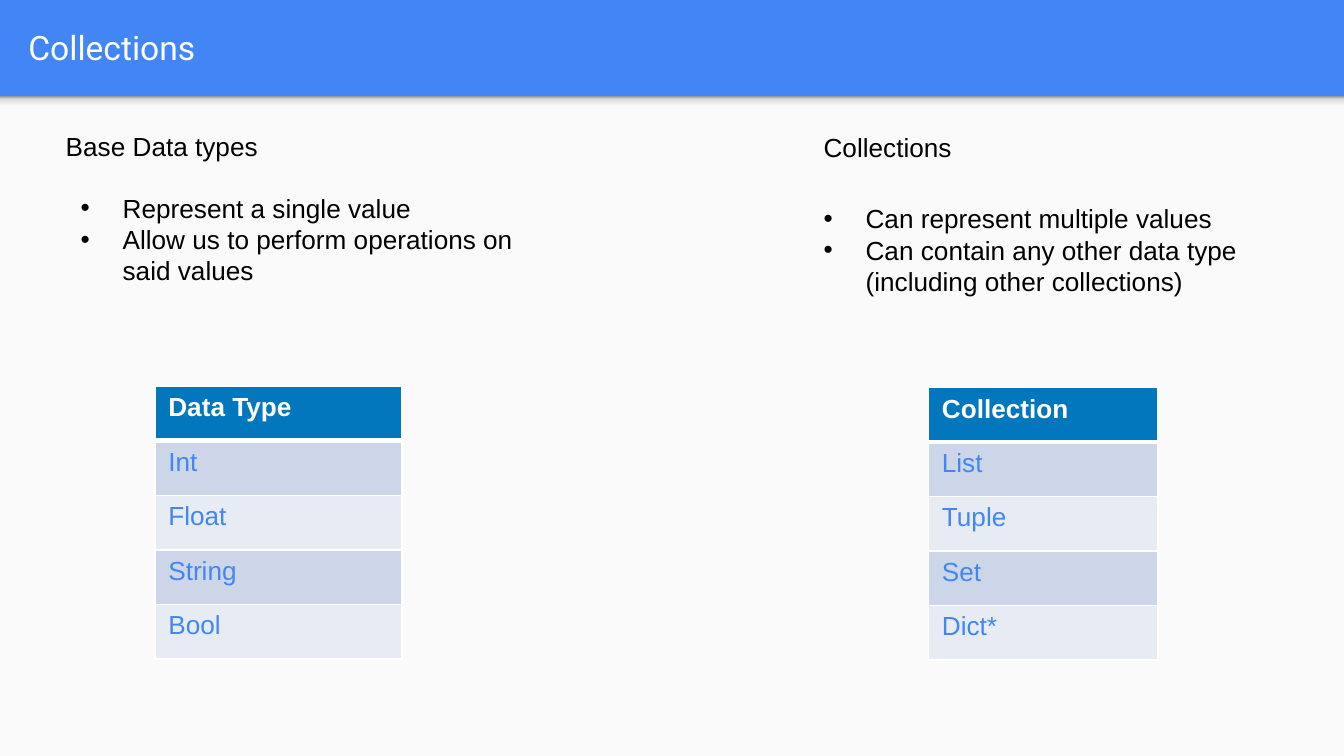
from lxml import etree
from pptx import Presentation
from pptx.dml.color import RGBColor
from pptx.enum.shapes import MSO_SHAPE
from pptx.enum.text import MSO_ANCHOR, MSO_AUTO_SIZE, PP_ALIGN
from pptx.oxml.ns import qn
from pptx.util import Pt

RECTANGLE = MSO_SHAPE.RECTANGLE
MIDDLE, TOP = MSO_ANCHOR.MIDDLE, MSO_ANCHOR.TOP
LEFT = PP_ALIGN.LEFT
GROW, FIXED = MSO_AUTO_SIZE.SHAPE_TO_FIT_TEXT, MSO_AUTO_SIZE.NONE

BLUE = RGBColor(0x42, 0x85, 0xF4)
HEADER_BLUE = RGBColor(0x02, 0x77, 0xBD)
PANEL = RGBColor(0xFA, 0xFA, 0xFA)
WHITE = RGBColor(0xFF, 0xFF, 0xFF)
BLACK = RGBColor(0, 0, 0)
ROW_FILLS = (RGBColor(0xCC, 0xD6, 0xE8), RGBColor(0xE7, 0xEC, 0xF4))
SHADE_STOPS = (
    (0, RGBColor(0xF9, 0xF9, 0xF9)),
    (36, RGBColor(0xF9, 0xF9, 0xF9)),
    (80, RGBColor(0xDE, 0xDE, 0xDE)),
    (100, RGBColor(0x99, 0x99, 0x99)),
)

PAGE_WIDTH, PAGE_HEIGHT = 720, 405
BAND_HEIGHT = 51.6
ROW_HEIGHT = 29.2
INDENT = 22.5
COMPARISON_LAYOUT = 4


def add_color(parent, color):
    """Append an sRGB colour element to the given parent."""
    etree.SubElement(parent, qn("a:srgbClr"), val=str(color))


def place(shape, box):
    """Move a shape to a box of left, top, width and height in points."""
    shape.left, shape.top, shape.width, shape.height = map(Pt, box)


def style_font(font, name, size, color, bold=False):
    """Set the typeface, size, colour and weight of a font."""
    font.name, font.size, font.bold = name, Pt(size), bold
    font.color.rgb = color


def add_backdrop(page, box):
    """Draw the light content panel and its top shade behind the text."""
    left, top, width, height = box
    page.background.fill.solid()
    page.background.fill.fore_color.rgb = BLUE
    for part_height in (height, 8.6):
        part = page.shapes.add_shape(
            RECTANGLE, Pt(left), Pt(top), Pt(width), Pt(part_height))
        part.shadow.inherit = False
        part.line.fill.background()
        if part_height == height:
            part.fill.solid()
            part.fill.fore_color.rgb = PANEL
        else:
            part.fill.gradient()
            part.fill.gradient_angle = 90
            stops = part.element.spPr.find(".//" + qn("a:gsLst"))
            stops.clear()
            for percent, color in SHADE_STOPS:
                add_color(etree.SubElement(
                    stops, qn("a:gs"), pos=str(percent * 1000)), color)
        page.shapes.title.element.addprevious(part.element)


def fill_title(title, box, text):
    """Place and format the title in the blue band."""
    place(title, box)
    frame = title.text_frame
    frame.text = text
    frame.vertical_anchor = MIDDLE
    frame.auto_size = FIXED
    frame.margin_left = frame.margin_right = Pt(7.2)
    frame.margin_top = frame.margin_bottom = Pt(7.2)
    frame.paragraphs[0].alignment = LEFT
    style_font(frame.paragraphs[0].font, "Roboto", 18, WHITE)


def fill_body(body, box, lines, bulleted):
    """Place a body placeholder and format its lines, with or without bullets."""
    place(body, box)
    frame = body.text_frame
    frame.text = "\n".join(lines)
    frame.word_wrap = True
    frame.vertical_anchor = TOP
    frame.auto_size = GROW
    indent = Pt(INDENT) if bulleted else 0
    for para in frame.paragraphs:
        para.space_before = Pt(0)
        props = para._p.get_or_add_pPr()
        props.set("marL", str(indent))
        props.set("indent", str(-indent))
        if bulleted:
            add_color(etree.SubElement(props, qn("a:buClr")), BLACK)
            etree.SubElement(props, qn("a:buFont"), typeface="Arial")
            etree.SubElement(props, qn("a:buChar"), char="•")
        else:
            etree.SubElement(props, qn("a:buNone"))
        style_font(para.font, "Arial", 14, BLACK)


def add_borders(cell, bottom_width):
    """Give a cell thin white borders and a bottom one of the given width."""
    props = cell._tc.get_or_add_tcPr()
    for side, width in (("L", 1), ("R", 1), ("T", 1), ("B", bottom_width)):
        line = etree.SubElement(props, qn("a:ln" + side), w=str(Pt(width)))
        add_color(etree.SubElement(line, qn("a:solidFill")), WHITE)


def add_type_table(page, box, entries):
    """Add a one-column table whose first entry is the header."""
    table = page.shapes.add_table(len(entries), 1, *map(Pt, box)).table
    for index, entry in enumerate(entries):
        header = index == 0
        table.rows[index].height = Pt(ROW_HEIGHT)
        cell = table.cell(index, 0)
        cell.text = entry
        add_borders(cell, 3 if header else 1)
        cell.fill.solid()
        cell.fill.fore_color.rgb = HEADER_BLUE if header else ROW_FILLS[(index - 1) % 2]
        style_font(cell.text_frame.paragraphs[0].runs[0].font, "Arial", 14,
                   WHITE if header else BLUE, header)


def build_page(deck):
    """Build the slide comparing base data types with collections."""
    page = deck.slides.add_slide(deck.slide_layouts[COMPARISON_LAYOUT])
    title, left_head, left_list, right_head, right_list = page.placeholders
    add_backdrop(page, (0, BAND_HEIGHT, PAGE_WIDTH, PAGE_HEIGHT - BAND_HEIGHT))
    fill_title(title, (8, 1.5, 695, 47.5), "Collections")

    fill_body(left_head, (28, 66.4, 126, 24.2), ["Base Data types"], False)
    fill_body(left_list, (36, 99.2, 265, 58.2), [
        "Represent a single value",
        "Allow us to perform operations on said values"], True)
    add_type_table(page, (83, 207, 132.3, 5 * ROW_HEIGHT),
                   ["Data Type", "Int", "Float", "String", "Bool"])

    fill_body(right_head, (434, 67, 139, 24.2), ["Collections"], False)
    fill_body(right_list, (434, 105, 268.5, 58.2), [
        "Can represent multiple values",
        "Can contain any other data type (including other collections)"], True)
    add_type_table(page, (497.4, 207.6, 123, 5 * ROW_HEIGHT),
                   ["Collection", "List", "Tuple", "Set", "Dict*"])


def main():
    """Create the deck and save it."""
    deck = Presentation()
    deck.slide_width, deck.slide_height = Pt(PAGE_WIDTH), Pt(PAGE_HEIGHT)
    build_page(deck)
    deck.save("out.pptx")


if __name__ == "__main__":
    main()
